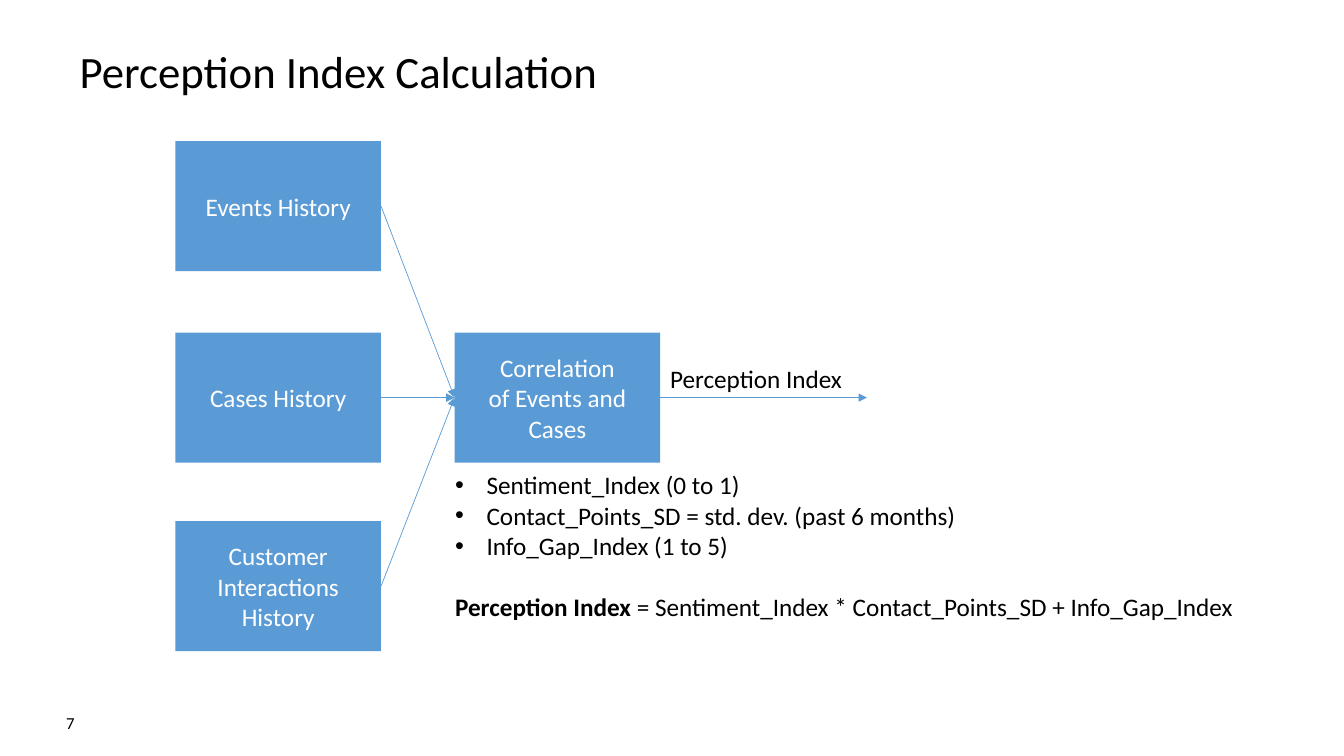
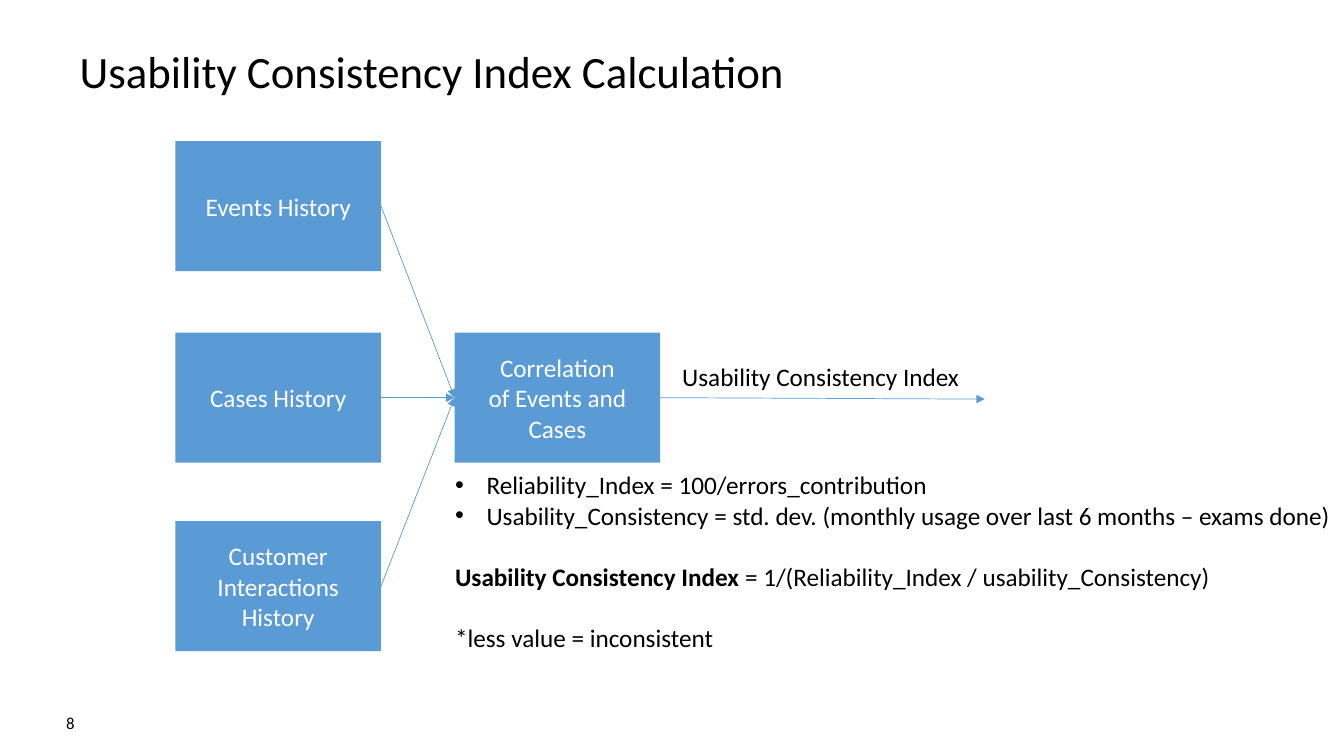
from dataclasses import dataclass
from typing import Any

from pptx import Presentation
from pptx.dml.color import RGBColor as RGB
from pptx.enum.shapes import MSO_CONNECTOR as CONN, MSO_SHAPE as SHAPE
from pptx.enum.text import MSO_ANCHOR as ANCHOR, PP_ALIGN as ALIGN
from pptx.oxml.ns import qn
from pptx.util import Pt
from lxml.etree import SubElement as Sub


@dataclass(frozen=True)
class Theme:
    font: str = "Calibri"
    accent: RGB = RGB(0x5B, 0x9B, 0xD5)
    ink: RGB = RGB(0, 0, 0)
    paper: RGB = RGB(0xFF, 0xFF, 0xFF)
    title: float = 32
    body: float = 18
    footer: float = 12
    line: float = 0.5
    indent: float = 22.5
    gap: float = 22
    inset_x: float = 7.2
    inset_y: float = 3.6


@dataclass(frozen=True)
class Rect:
    left: float
    top: float
    width: float
    height: float


@dataclass(frozen=True)
class Para:
    text: str
    lead: str = ""
    bullet: bool = False
    gap: float = 0


@dataclass(frozen=True)
class Box:
    rect: Rect
    lines: tuple[str, ...]


@dataclass(frozen=True)
class IndexSlide:
    number: int
    index: str
    label: Rect
    arrow_end: tuple[float, float]
    notes: tuple[Para, ...]


T = Theme()
SLIDE_W, SLIDE_H = 960, 540
BOX_W, BOX_H = 146.9, 92.9
SOURCE_X, TARGET_X, TARGET_Y = 125.3, 324.7, 237.6
LEFT_SITE, RIGHT_SITE = 1, 3

TITLE = Rect(56.9, 35.3, 846.7, 79.2)
NUMBER = Rect(25.2, 509, 28.1, 15.8)
NOTES = Rect(318, 332, SLIDE_W - 318, 181)
SOURCES = tuple(
    Box(Rect(SOURCE_X, top, BOX_W, BOX_H), (name,))
    for top, name in (
        (100.8, "Events History"),
        (TARGET_Y, "Cases History"),
        (372.2, "Customer Interactions History"),
    )
)
TARGET = Box(Rect(TARGET_X, TARGET_Y, BOX_W, BOX_H), ("Correlation", "of Events and Cases"))

SLIDES = (
    IndexSlide(
        7, "Perception Index", Rect(471.6, 256.3, 139, 28.8), (619.2, 284.05),
        (
            Para("Sentiment_Index (0 to 1)", bullet=True),
            Para("Contact_Points_SD = std. dev. (past 6 months)", bullet=True),
            Para("Info_Gap_Index (1 to 5)", bullet=True),
            Para("= Sentiment_Index * Contact_Points_SD + Info_Gap_Index",
                 lead="Perception Index ", gap=T.gap),
        ),
    ),
    IndexSlide(
        8, "Usability Consistency Index", Rect(480.2, 254.9, 214.6, 28.8), (703.4, 285.1),
        (
            Para("Reliability_Index = 100/errors_contribution", bullet=True),
            Para("Usability_Consistency = std. dev. (monthly usage over last 6 months – exams done)",
                 bullet=True),
            Para("= 1/(Reliability_Index / usability_Consistency)",
                 lead="Usability Consistency Index ", gap=T.gap),
            Para("*less value = inconsistent", gap=T.gap),
        ),
    ),
)


def apply(obj: Any, values: dict[str, Any]) -> None:
    for name, value in values.items():
        setattr(obj, name, value)


def place(rect: Rect) -> tuple[Pt, Pt, Pt, Pt]:
    return Pt(rect.left), Pt(rect.top), Pt(rect.width), Pt(rect.height)


def add_bullet(p: Any) -> None:
    p_pr = p._p.get_or_add_pPr()
    p_pr.set("marL", str(Pt(T.indent)))
    p_pr.set("indent", str(-Pt(T.indent)))
    Sub(p_pr, qn("a:buFont"), typeface="Arial")
    Sub(p_pr, qn("a:buChar"), char="•")


def write(tf: Any, paras: tuple[Para, ...], size: float = T.body, color: RGB = T.ink,
          align: Any = ALIGN.LEFT, anchor: Any = ANCHOR.TOP, spacing: float = 1.0,
          inset: tuple[float, float] = (T.inset_x, T.inset_y)) -> None:
    x, y = map(Pt, inset)
    apply(tf, {"word_wrap": True, "vertical_anchor": anchor, "margin_left": x,
               "margin_right": x, "margin_top": y, "margin_bottom": y})
    for i, para in enumerate(paras):
        p = tf.add_paragraph() if i else tf.paragraphs[0]
        apply(p, {"alignment": align, "line_spacing": spacing, "space_before": Pt(para.gap)})
        if para.bullet:
            add_bullet(p)
        for text, bold in ((para.lead, True), (para.text, False)):
            if text:
                r = p.add_run()
                r.text = text
                apply(r.font, {"name": T.font, "size": Pt(size), "bold": bold})
                r.font.color.rgb = color


def add_text(s: Any, rect: Rect, *paras: Para, **style: Any) -> None:
    write(s.shapes.add_textbox(*place(rect)).text_frame, paras, **style)


def add_box(s: Any, box: Box) -> Any:
    sp = s.shapes.add_shape(SHAPE.RECTANGLE, *place(box.rect))
    sp.shadow.inherit = False
    sp.fill.solid()
    sp.fill.fore_color.rgb = T.accent
    sp.line.fill.background()
    write(sp.text_frame, tuple(map(Para, box.lines)), color=T.paper,
          align=ALIGN.CENTER, anchor=ANCHOR.MIDDLE)
    return sp


def add_arrow(s: Any, start: Any, end: Any = None, point: tuple[float, float] = (0, 0)) -> None:
    x, y = map(Pt, point)
    cxn = s.shapes.add_connector(CONN.STRAIGHT, 0, 0, x, y)
    cxn.begin_connect(start, RIGHT_SITE)
    if end is None:
        apply(cxn, {"end_x": x, "end_y": y})
    else:
        cxn.end_connect(end, LEFT_SITE)
    cxn.line.color.rgb = T.accent
    cxn.line.width = Pt(T.line)
    Sub(cxn.line._get_or_add_ln(), qn("a:tailEnd"), type="triangle")
    Sub(cxn._element.spPr, qn("a:effectLst"))


def build(prs: Any, spec_of: IndexSlide) -> None:
    s = prs.slides.add_slide(prs.slide_layouts[6])
    add_text(s, TITLE, Para(f"{spec_of.index} Calculation"), size=T.title, spacing=0.9, inset=(0, 0))
    add_text(s, NUMBER, Para(str(spec_of.number)), size=T.footer, align=ALIGN.RIGHT, inset=(0, 0))
    target = add_box(s, TARGET)
    for source in SOURCES:
        add_arrow(s, add_box(s, source), target)
    add_arrow(s, target, point=spec_of.arrow_end)
    add_text(s, spec_of.label, Para(spec_of.index))
    add_text(s, NOTES, *spec_of.notes)


prs = Presentation()
apply(prs, {"slide_width": Pt(SLIDE_W), "slide_height": Pt(SLIDE_H)})
for content in SLIDES:
    build(prs, content)
prs.save("out.pptx")
